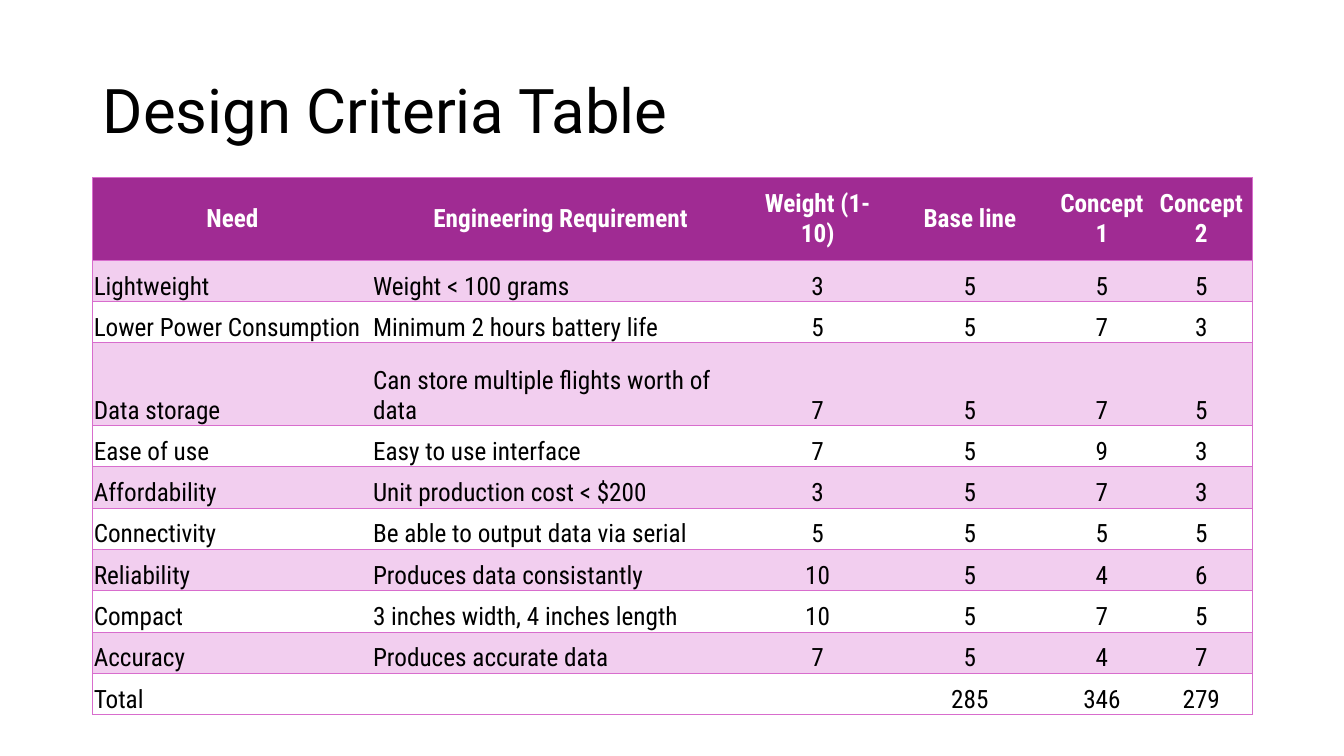
from lxml.etree import SubElement
from pptx import Presentation
from pptx.dml.color import RGBColor
from pptx.enum.text import MSO_ANCHOR, PP_ALIGN
from pptx.oxml.ns import qn
from pptx.util import Inches, Pt

MARGIN, CONTENT_WIDTH = 0.92, 11.5
TITLE_TOP, TITLE_HEIGHT = 0.4, 1.45
TABLE_TOP, ROW_HEIGHT = 1.76, 0.41
COLUMN_WIDTHS = [2.77, 3.74, 1.36, 1.66, 0.96, 1.01]
TALL_ROWS = {0, 3}
TEXT_COLUMNS = 2
PURPLE, PINK, BORDER = "A02B93", "F2CEEF", "D86DCD"
BLACK, WHITE = "000000", "FFFFFF"

CRITERIA = [
    ["Need", "Engineering Requirement", "Weight (1-10)", "Base line", "Concept 1", "Concept 2"],
    ["Lightweight", "Weight < 100 grams", 3, 5, 5, 5],
    ["Lower Power Consumption", "Minimum 2 hours battery life", 5, 5, 7, 3],
    ["Data storage", "Can store multiple flights worth of data", 7, 5, 7, 5],
    ["Ease of use", "Easy to use interface", 7, 5, 9, 3],
    ["Affordability", "Unit production cost < $200", 3, 5, 7, 3],
    ["Connectivity", "Be able to output data via serial", 5, 5, 5, 5],
    ["Reliability", "Produces data consistantly", 10, 5, 4, 6],
    ["Compact", "3 inches width, 4 inches length", 10, 5, 7, 5],
    ["Accuracy", "Produces accurate data", 7, 5, 4, 7],
    ["Total", "", "", 285, 346, 279],
]


def color(value):
    """Turn a hex string into a colour."""
    return RGBColor.from_string(value)


def format_runs(para, font_name, size, font_color, bold=False):
    """Give every run of a paragraph the same font."""
    for span in para.runs:
        span.font.name = font_name
        span.font.size = Pt(size)
        span.font.bold = bold
        span.font.color.rgb = color(font_color)


def add_title(page, text):
    """Place the slide title above the table."""
    box = page.shapes.add_textbox(
        Inches(MARGIN), Inches(TITLE_TOP), Inches(CONTENT_WIDTH), Inches(TITLE_HEIGHT))
    frame = box.text_frame
    frame.word_wrap = True
    frame.vertical_anchor = MSO_ANCHOR.MIDDLE
    frame.text = text
    para = frame.paragraphs[0]
    para.line_spacing = 0.9
    format_runs(para, "Roboto", 44, BLACK)


def set_borders(cell, visible_edges):
    """Draw the named edges (L, R, T, B) of a cell and hide the others."""
    properties = cell._tc.get_or_add_tcPr()
    for position, edge in enumerate("LRTB"):
        line = SubElement(properties, qn(f"a:ln{edge}"), w=str(Pt(0.5)))
        if edge in visible_edges:
            fill = SubElement(line, qn("a:solidFill"))
            SubElement(fill, qn("a:srgbClr"), val=BORDER)
        else:
            SubElement(line, qn("a:noFill"))
        properties.insert(position, line)


def fill_cell(cell, value, row, column):
    """Write one value and style its cell by row and column."""
    header = row == 0
    cell.margin_left = cell.margin_right = cell.margin_top = Inches(0.01)
    cell.margin_bottom = 0
    cell.vertical_anchor = MSO_ANCHOR.MIDDLE if header else MSO_ANCHOR.BOTTOM
    cell.text_frame.text = str(value)
    para = cell.text_frame.paragraphs[0]
    centred = header or column >= TEXT_COLUMNS
    para.alignment = PP_ALIGN.CENTER if centred else PP_ALIGN.LEFT
    format_runs(para, "Roboto Condensed", 18, WHITE if header else BLACK, header)
    if header or row % 2:
        cell.fill.solid()
        cell.fill.fore_color.rgb = color(PURPLE if header else PINK)
    else:
        cell.fill.background()
    left = "L" if column == 0 else ""
    right = "R" if column == len(COLUMN_WIDTHS) - 1 else ""
    set_borders(cell, "TB" + left + right)


def add_criteria_table(page, rows):
    """Build the table of weighted design criteria."""
    height = ROW_HEIGHT * (len(rows) + len(TALL_ROWS))
    table = page.shapes.add_table(
        len(rows), len(COLUMN_WIDTHS), Inches(MARGIN), Inches(TABLE_TOP),
        Inches(CONTENT_WIDTH), Inches(height)).table
    table.first_row = table.horz_banding = False
    for column, width in zip(table.columns, COLUMN_WIDTHS):
        column.width = Inches(width)
    for row, values in enumerate(rows):
        table.rows[row].height = Inches(ROW_HEIGHT * (2 if row in TALL_ROWS else 1))
        for column, value in enumerate(values):
            fill_cell(table.cell(row, column), value, row, column)


def main():
    """Create the deck with its single page."""
    deck = Presentation()
    deck.slide_width, deck.slide_height = Inches(13.33), Inches(7.5)
    page = deck.slides.add_slide(deck.slide_layouts[6])
    add_title(page, "Design Criteria Table")
    add_criteria_table(page, CRITERIA)
    deck.save("out.pptx")


if __name__ == "__main__":
    main()
